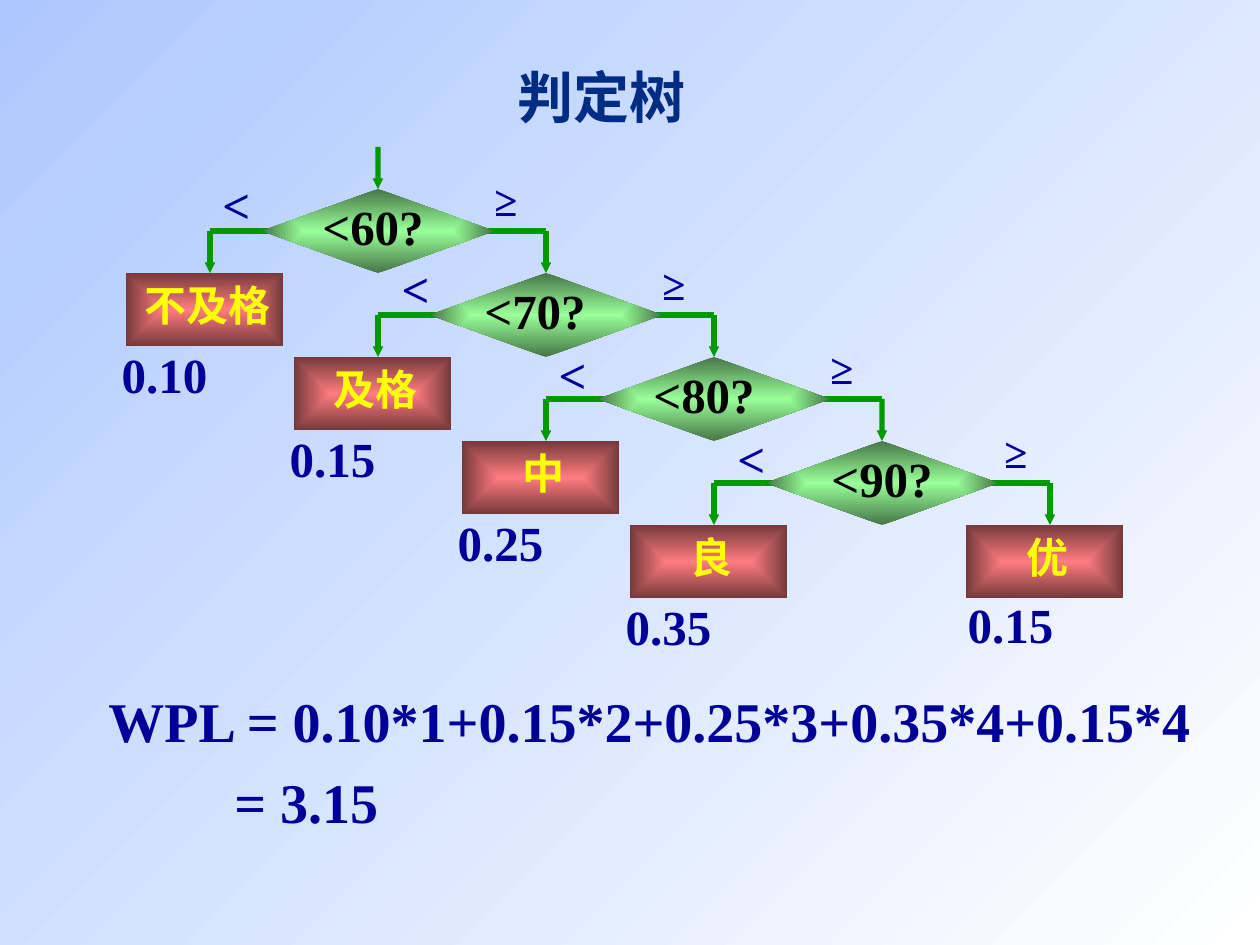
from lxml.etree import SubElement
from pptx import Presentation
from pptx.dml.color import RGBColor
from pptx.enum.shapes import MSO_CONNECTOR as Connector, MSO_SHAPE as Shape
from pptx.enum.text import MSO_ANCHOR as Anchor, MSO_AUTO_SIZE as AutoSize, PP_ALIGN as Align
from pptx.oxml.ns import qn
from pptx.util import Emu, Pt

PX_PER_INCH = 126
COLORS = {
    "sky": "ADC8FF", "white": "FFFFFF", "title": "002C84", "ink": "000099",
    "line": "009900", "question": "000000", "leaf": "FFFF00",
    "green": "99FF99", "dark green": "477647", "red": "FF7C80", "dark red": "76393B",
}
STEP_X, STEP_Y = 168, 84
DIAMOND_W, DIAMOND_H = 232, 84
BOX_W, BOX_H = 157, 73

# question, leaf, probability, left offset of the question from the centre,
# left and top offsets of "<", left offset of "≥"
LEVELS = [
    ("<60?", "不及格", "0.10", -70, -168, -63, 104),
    ("<70?", "及格", "0.15", -76, -157, -63, 104),
    ("<80?", "中", "0.25", -75, -168, -61, 104),
    ("<90?", "良", "0.35", -65, -157, -61, 110),
]


def px(value):
    return Emu(round(value * 914400 / PX_PER_INCH))


def rgb(name):
    return RGBColor.from_string(COLORS[name])


class TreeSlide:
    font_name = "Times New Roman"
    line_width = Pt(3)

    def __init__(self, slide):
        self.slide = slide

    def gradient(self, fill, first, last):
        fill.gradient()
        for stop, name, position in zip(fill.gradient_stops, (first, last), (0, 1)):
            stop.color.rgb = rgb(name)
            stop.position = position

    def background(self, first, last):
        fill = self.slide.background.fill
        self.gradient(fill, first, last)
        fill.gradient_angle = 315

    def shape(self, kind, left, top, width, height, center, edge):
        shape = self.slide.shapes.add_shape(kind, px(left), px(top), px(width), px(height))
        shape.shadow.inherit = False
        shape.line.fill.background()
        self.gradient(shape.fill, center, edge)
        # Spread the colours from the middle outwards
        gradient = shape.element.spPr.find(qn("a:gradFill"))
        gradient.remove(gradient.find(qn("a:lin")))
        spread = SubElement(gradient, qn("a:path"), {"path": "rect"})
        SubElement(spread, qn("a:fillToRect"), dict.fromkeys("ltrb", "50000"))
        return shape

    def line(self, x1, y1, x2, y2, arrow=False, target=None):
        connector = self.slide.shapes.add_connector(
            Connector.STRAIGHT, px(x1), px(y1), px(x2), px(y2))
        connector.line.color.rgb = rgb("line")
        connector.line.width = self.line_width
        if arrow:
            SubElement(connector.line._get_or_add_ln(), qn("a:tailEnd"),
                       {"type": "triangle", "w": "sm", "len": "sm"})
        SubElement(connector.element.spPr, qn("a:effectLst"))
        if target is not None:
            connector.end_connect(target, 0)

    def text(self, text, left, top, width, height, *, size=28, color="ink",
             align=Align.CENTER, space=0, indent=0):
        box = self.slide.shapes.add_textbox(px(left), px(top), px(width), px(height))
        frame = box.text_frame
        frame.word_wrap = False
        frame.auto_size = AutoSize.SHAPE_TO_FIT_TEXT
        frame.vertical_anchor = Anchor.MIDDLE
        frame.text = text
        for index, paragraph in enumerate(frame.paragraphs):
            paragraph.alignment = align
            if index:
                paragraph.space_before = Pt(space)
                paragraph._p.get_or_add_pPr().set("marL", str(px(indent)))
            for run in paragraph.runs:
                run.font.name = self.font_name
                run.font.size = Pt(size)
                run.font.bold = True
                run.font.color.rgb = rgb(color)

    def leaf(self, name, probability, elbow, top, shift_x=0, shift_y=0):
        left = elbow - 84
        self.shape(Shape.RECTANGLE, left, top, BOX_W, BOX_H, "red", "dark red")
        width = 42 * len(name) + 25
        self.text(name, left + 81 - width // 2, top, width, 63, size=24, color="leaf")
        self.text(probability, elbow - 101 + shift_x, top + 65 + shift_y, 111, 72)


def main():
    presentation = Presentation()
    presentation.slide_width, presentation.slide_height = px(1260), px(945)
    slide = presentation.slides.add_slide(presentation.slide_layouts[6])
    tree = TreeSlide(slide)
    tree.background("sky", "white")
    tree.text("判定树", 505, 56, 193, 81, size=32, color="title")

    centers = [(378 + STEP_X * i, 231 + STEP_Y * i) for i in range(len(LEVELS))]

    # Horizontal branches, behind the diamonds
    for x, y in centers:
        for side in (-1, 1):
            tree.line(x + side * STEP_X, y, x + side * 105, y)

    # Decisions, each entered from above
    for x, y in centers:
        diamond = tree.shape(Shape.FLOWCHART_DECISION, x - DIAMOND_W // 2, y - DIAMOND_H // 2,
                             DIAMOND_W, DIAMOND_H, "green", "dark green")
        tree.line(x, y - STEP_Y, x, y - DIAMOND_H // 2, arrow=True, target=diamond)

    # Leaves and labels
    for (x, y), level in zip(centers, LEVELS):
        question, name, probability, question_x, less_x, less_y, more_x = level
        elbow, top = x - STEP_X, y + 42
        tree.line(elbow, y, elbow, top, arrow=True)
        tree.leaf(name, probability, elbow, top)
        tree.text(question, x + question_x, y - 41, 130, 72, color="question")
        tree.text("<", x + less_x, y + less_y, 53, 72)
        tree.text("≥", x + more_x, y - 63, 48, 63, size=24)

    # Last leaf, on the right of the last decision
    x, y = centers[-1]
    elbow, top = x + STEP_X, y + 42
    tree.line(elbow, y, elbow, top, arrow=True)
    tree.leaf("优", "0.15", elbow, top, shift_x=6, shift_y=-2)

    # Weighted path length
    tree.text("WPL = 0.10*1+0.15*2+0.25*3+0.35*4+0.15*4\n= 3.15", 96, 680, 1111, 161,
              size=32, align=Align.LEFT, space=8, indent=126)

    presentation.save("out.pptx")


if __name__ == "__main__":
    main()
